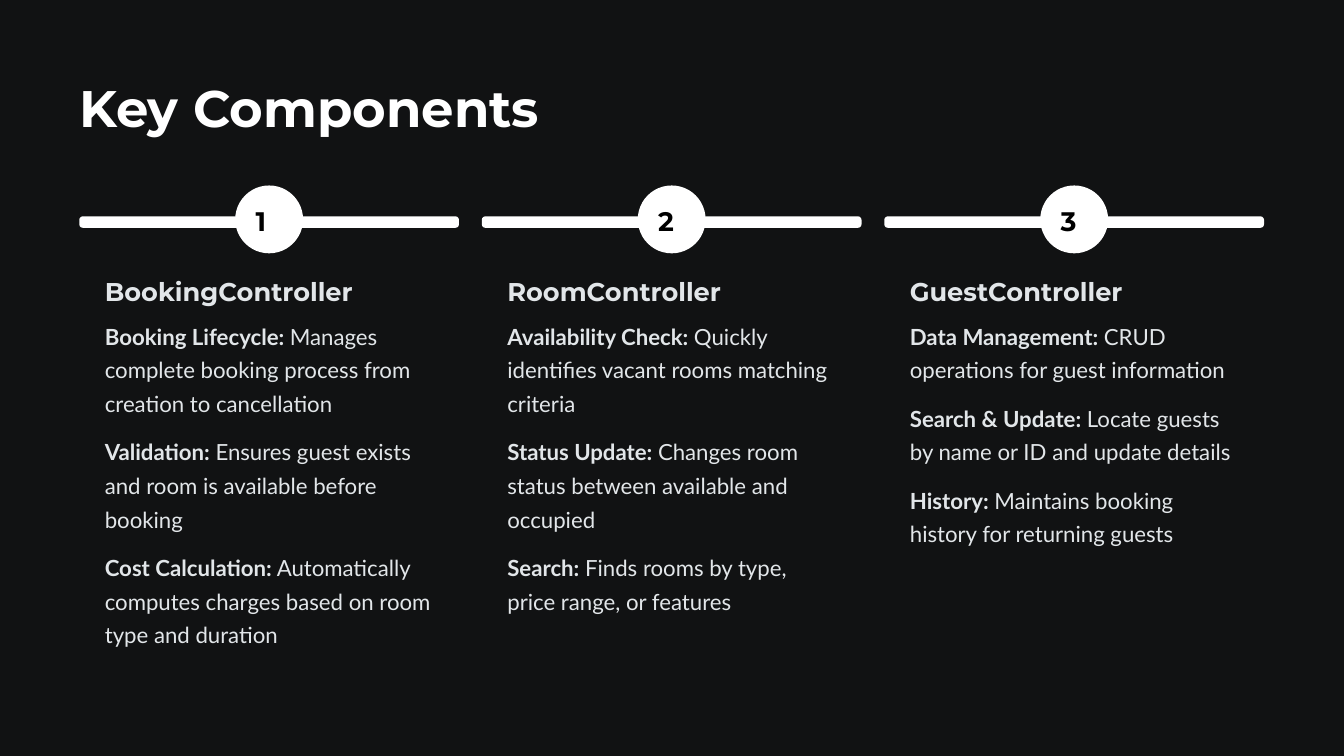
"""Build the Key Components slide: three numbered controller columns."""
from pptx import Presentation
from pptx.dml.color import RGBColor
from pptx.enum.shapes import MSO_SHAPE
from pptx.util import Inches, Pt

BAR = MSO_SHAPE.ROUNDED_RECTANGLE
CIRCLE = MSO_SHAPE.OVAL

COLORS = {"background": "111213", "white": "FFFFFF", "number": "000000", "body": "E2E6E9"}
HEADING_FONT = "Montserrat"
BODY_FONT = "Lato"

TITLE = "Key Components"
# Each point: label, description, number of lines it fills
COLUMNS = [
    ("BookingController", [
        ("Booking Lifecycle:", " Manages complete booking process from creation to cancellation", 3),
        ("Validation:", " Ensures guest exists and room is available before booking", 3),
        ("Cost Calculation:", " Automatically computes charges based on room type and duration", 3),
    ]),
    ("RoomController", [
        ("Availability Check:", " Quickly identifies vacant rooms matching criteria", 3),
        ("Status Update:", " Changes room status between available and occupied", 3),
        ("Search:", " Finds rooms by type, price range, or features", 2),
    ]),
    ("GuestController", [
        ("Data Management:", " CRUD operations for guest information", 2),
        ("Search & Update:", " Locate guests by name or ID and update details", 2),
        ("History:", " Maintains booking history for returning guests", 2),
    ]),
]

LEFT = 1.18
COLUMN_WIDTH = 5.65
COLUMN_STEP = 5.99
BAR_TOP, BAR_HEIGHT = 3.22, 0.17
CIRCLE_TOP, CIRCLE_SIZE = 2.76, 1.01
NUMBER_WIDTH = 0.4
INDENT = 0.38
POINTS_TOP, POINT_GAP = 4.7, 0.12


def color(name):
    return RGBColor.from_string(COLORS[name])


def add_text(slide, text, left, top, width, height, *, size, line, tint,
             font=HEADING_FONT, plain=""):
    frame = slide.shapes.add_textbox(
        Inches(left), Inches(top), Inches(width), Inches(height)).text_frame
    frame.word_wrap = True
    frame.margin_left = frame.margin_right = frame.margin_top = frame.margin_bottom = 0
    paragraph = frame.paragraphs[0]
    paragraph.line_spacing = Pt(line)
    for words, bold in ((text, True), (plain, False)):
        if words:
            run = paragraph.add_run()
            run.text = words
            run.font.name = font
            run.font.size = Pt(size)
            run.font.bold = bold
            run.font.color.rgb = color(tint)


def add_white_shape(slide, kind, left, top, width, height):
    shape = slide.shapes.add_shape(
        kind, Inches(left), Inches(top), Inches(width), Inches(height))
    shape.shadow.inherit = False
    shape.fill.solid()
    shape.fill.fore_color.rgb = color("white")
    shape.line.fill.background()
    return shape


def add_column(slide, index, heading, points):
    left = LEFT + index * COLUMN_STEP
    center = left + COLUMN_WIDTH / 2
    text_left = left + INDENT

    bar = add_white_shape(slide, BAR, left, BAR_TOP, COLUMN_WIDTH, BAR_HEIGHT)
    bar.adjustments[0] = 0.3
    add_white_shape(slide, CIRCLE, center - CIRCLE_SIZE / 2, CIRCLE_TOP,
                    CIRCLE_SIZE, CIRCLE_SIZE)
    add_text(slide, str(index + 1), center - NUMBER_WIDTH / 2, 2.92, NUMBER_WIDTH, 0.6,
             size=28.7, line=43.1, tint="number")
    add_text(slide, heading, text_left, 4.09, 3.83, 0.5,
             size=27.5, line=34.4, tint="body")

    top = POINTS_TOP
    for label, description, lines in points:
        height = 0.5 * lines + 0.1
        add_text(slide, label, text_left, top, COLUMN_WIDTH - 2 * INDENT, height,
                 size=23.8, line=36.2, tint="body", font=BODY_FONT, plain=description)
        top += height + POINT_GAP


def main():
    deck = Presentation()
    deck.slide_width, deck.slide_height = Inches(20), Inches(11.25)
    slide = deck.slides.add_slide(deck.slide_layouts[6])
    slide.background.fill.solid()
    slide.background.fill.fore_color.rgb = color("background")

    add_text(slide, TITLE, LEFT, 1.09, 7.67, 0.99, size=55, line=68.8, tint="white")
    for index, (heading, points) in enumerate(COLUMNS):
        add_column(slide, index, heading, points)
    deck.save("out.pptx")


if __name__ == "__main__":
    main()
